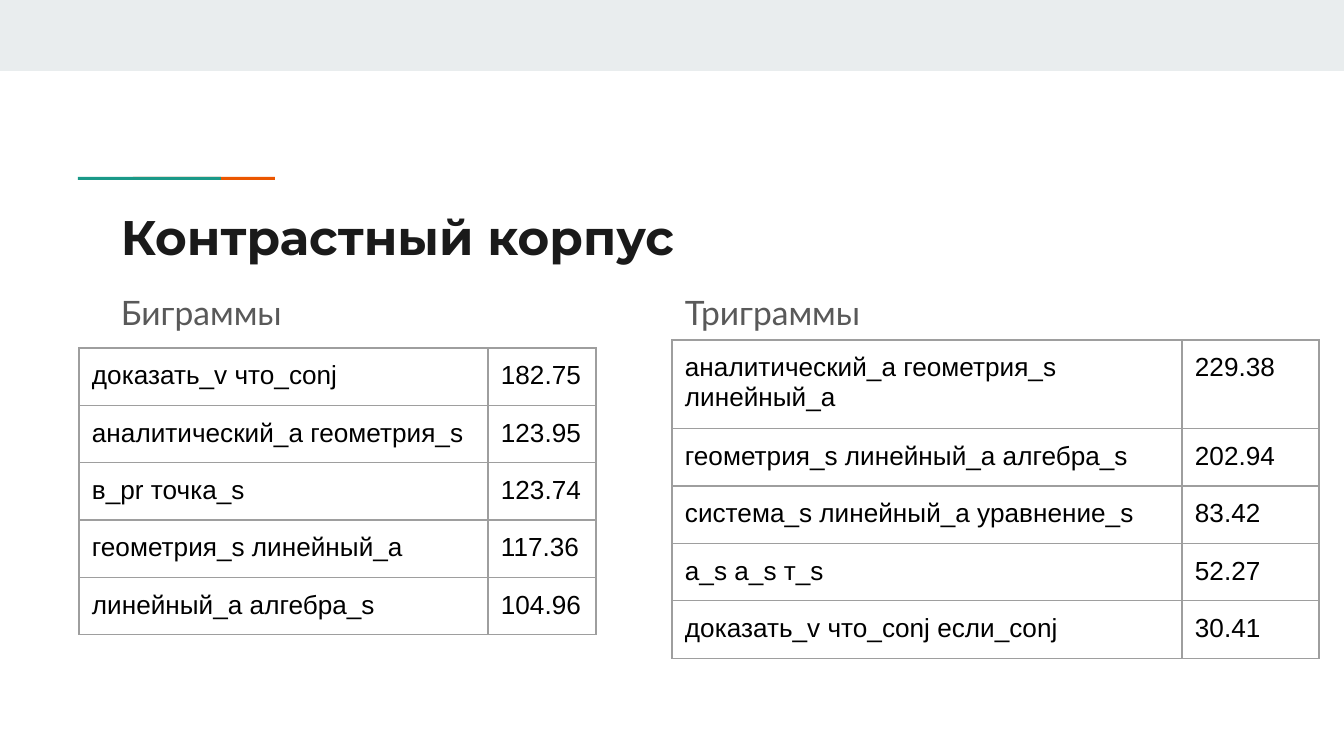
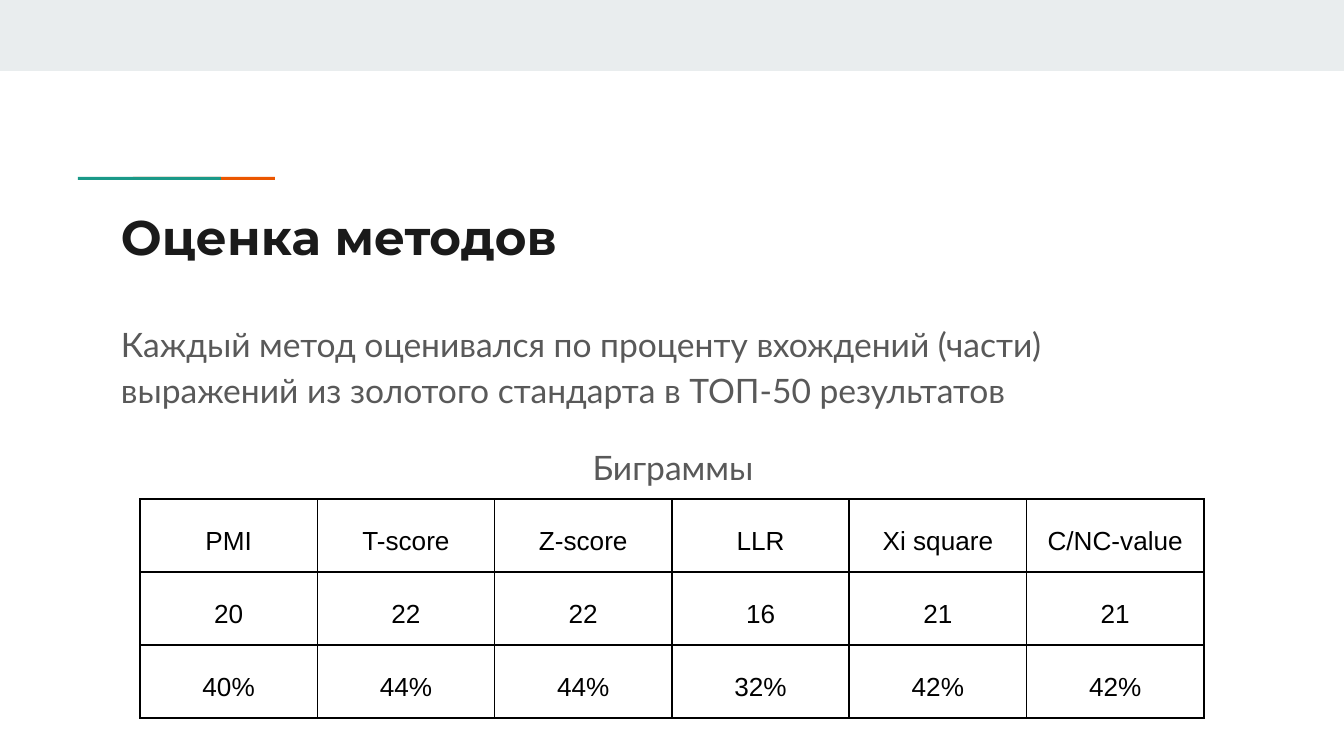
import pptx
import pptx.util
import pptx.dml.color
import pptx.enum.shapes
import pptx.enum.text
import pptx.oxml
import pptx.oxml.ns
import lxml.etree

PIXELS_PER_INCH = 134.4
SLIDE_WIDTH, SLIDE_HEIGHT = 1344, 756

BAND = "E9EDEE"
TEAL = "1A9988"
ORANGE = "EB5600"
TITLE_COLOR = "1A1A1A"
BODY_COLOR = "595959"
BLACK = "000000"
GRAY_BORDER = "9E9E9E"

LEFT = pptx.enum.text.PP_ALIGN.LEFT
CENTER = pptx.enum.text.PP_ALIGN.CENTER
TEXT_INSET = 13
TEXT_LEFT = 108
TEXT_WIDTH = 1130

BIGRAMS = [
    ("доказать_v что_conj", "182.75"),
    ("аналитический_а геометрия_s", "123.95"),
    ("в_pr точка_s", "123.74"),
    ("геометрия_s линейный_a", "117.36"),
    ("линейный_а алгебра_s", "104.96"),
]
TRIGRAMS = [
    ("аналитический_а геометрия_s линейный_а", "229.38"),
    ("геометрия_s линейный_а алгебра_s", "202.94"),
    ("система_s линейный_а уравнение_s", "83.42"),
    ("a_s a_s т_s", "52.27"),
    ("доказать_v что_conj если_conj", "30.41"),
]
METHOD_SCORES = [
    ("PMI", "T-score", "Z-score", "LLR", "Xi square", "C/NC-value"),
    ("20", "22", "22", "16", "21", "21"),
    ("40%", "44%", "44%", "32%", "42%", "42%"),
]


def px(pixels):
    return pptx.util.Emu(round(pixels * 914400 / PIXELS_PER_INCH))


def color(hex_string):
    return pptx.dml.color.RGBColor.from_string(hex_string)


def add_bar(slide, left, top, width, height, fill):
    bar = slide.shapes.add_shape(
        pptx.enum.shapes.MSO_SHAPE.RECTANGLE,
        px(left), px(top), px(width), px(height))
    bar.shadow.inherit = False
    bar.fill.solid()
    bar.fill.fore_color.rgb = color(fill)
    bar.line.fill.background()


def write(paragraph, text, size, font, fill, bold=False, align=LEFT, spacing=1.0):
    paragraph.alignment = align
    paragraph.line_spacing = spacing
    run = paragraph.add_run()
    run.text = text
    run.font.size = pptx.util.Pt(size)
    run.font.name = font
    run.font.bold = bold
    run.font.color.rgb = color(fill)


def add_text_frame(slide, left, top, width, height):
    frame = slide.shapes.add_textbox(px(left), px(top), px(width), px(height)).text_frame
    frame.word_wrap = True
    frame.margin_left = frame.margin_right = px(TEXT_INSET)
    frame.margin_top = frame.margin_bottom = px(TEXT_INSET)
    return frame


def write_body(paragraph, text, align=LEFT):
    write(paragraph, text, 18, "Lato", BODY_COLOR, align=align, spacing=1.15)


def add_heading(slide, left, text):
    frame = add_text_frame(slide, left, 273, 476, 332)
    write_body(frame.paragraphs[0], text)
    frame.paragraphs[0].space_after = pptx.util.Pt(16)


def set_borders(cell, border_color, points):
    properties = cell._tc.get_or_add_tcPr()
    for position, side in enumerate(("lnL", "lnR", "lnT", "lnB")):
        line = lxml.etree.Element(
            pptx.oxml.ns.qn("a:" + side), w=str(pptx.util.Pt(points)))
        fill = lxml.etree.SubElement(line, pptx.oxml.ns.qn("a:solidFill"))
        lxml.etree.SubElement(fill, pptx.oxml.ns.qn("a:srgbClr"), val=border_color)
        properties.insert(position, line)


def add_grid(slide, left, top, widths, heights, rows, border, points,
             side_inset=TEXT_INSET, align=LEFT, spacing=1.0):
    grid = slide.shapes.add_table(
        len(rows), len(widths), px(left), px(top),
        px(sum(widths)), px(sum(heights))).table
    grid.first_row = False
    grid.horz_banding = False
    for column, width in zip(grid.columns, widths):
        column.width = px(width)
    for row, height, texts in zip(grid.rows, heights, rows):
        row.height = px(height)
        for cell, text in zip(row.cells, texts):
            cell.margin_left = cell.margin_right = px(side_inset)
            cell.margin_top = cell.margin_bottom = px(TEXT_INSET)
            cell.fill.background()
            set_borders(cell, border, points)
            write(cell.text_frame.paragraphs[0], text, 14, "Arial", BLACK,
                  align=align, spacing=spacing)


def add_titled_slide(deck, title):
    slide = deck.slides.add_slide(deck.slide_layouts[6])
    add_bar(slide, 0, 0, SLIDE_WIDTH, 71, BAND)
    add_bar(slide, 133, 177, 142, 3, ORANGE)
    add_bar(slide, 78, 177, 143, 3, TEAL)
    frame = add_text_frame(slide, TEXT_LEFT, 194, TEXT_WIDTH, 79)
    write(frame.paragraphs[0], title, 26, "Montserrat", TITLE_COLOR, bold=True)
    return slide


def build_corpus(deck):
    slide = add_titled_slide(deck, "Контрастный корпус")
    add_heading(slide, TEXT_LEFT, "Биграммы")
    add_grid(slide, 79, 348, (409, 108), [56] * 5, BIGRAMS, GRAY_BORDER, 0.75)
    add_heading(slide, 672, "Триграммы")
    add_grid(slide, 672, 340, (510, 137), [86] + [56] * 4, TRIGRAMS, GRAY_BORDER, 0.75)


def build_evaluation(deck):
    slide = add_titled_slide(deck, "Оценка методов")
    frame = add_text_frame(slide, TEXT_LEFT, 305, TEXT_WIDTH, 121)
    write_body(frame.paragraphs[0],
               "Каждый метод оценивался по проценту вхождений (части) "
               "выражений из золотого стандарта в ТОП-50 результатов")
    caption = frame.add_paragraph()
    caption.space_before = pptx.util.Pt(16)
    write_body(caption, "Биграммы", align=CENTER)
    add_grid(slide, 140, 499, [1064 / 6] * 6, [71] * 3, METHOD_SCORES, BLACK, 1,
             side_inset=9, align=CENTER, spacing=1.5)


def main():
    deck = pptx.Presentation()
    deck.slide_width = px(SLIDE_WIDTH)
    deck.slide_height = px(SLIDE_HEIGHT)
    build_corpus(deck)
    build_evaluation(deck)
    deck.save("out.pptx")


main()
